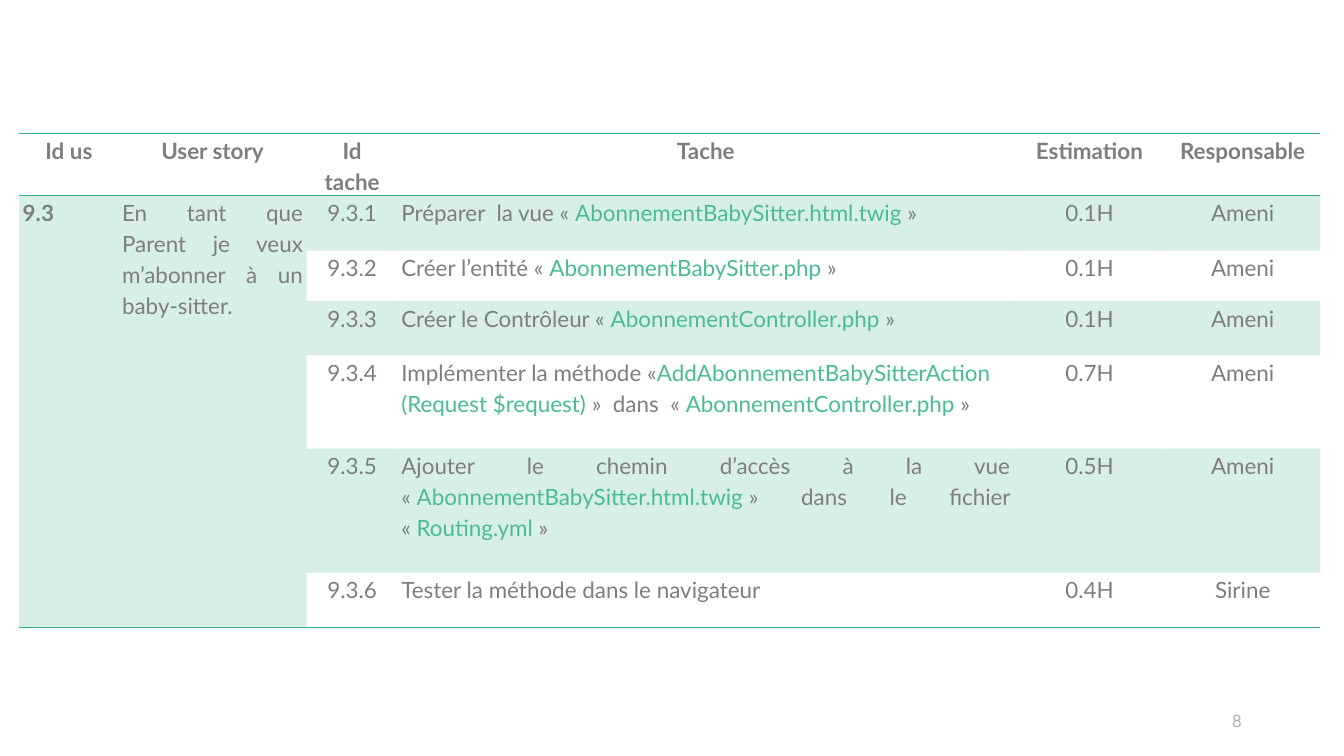
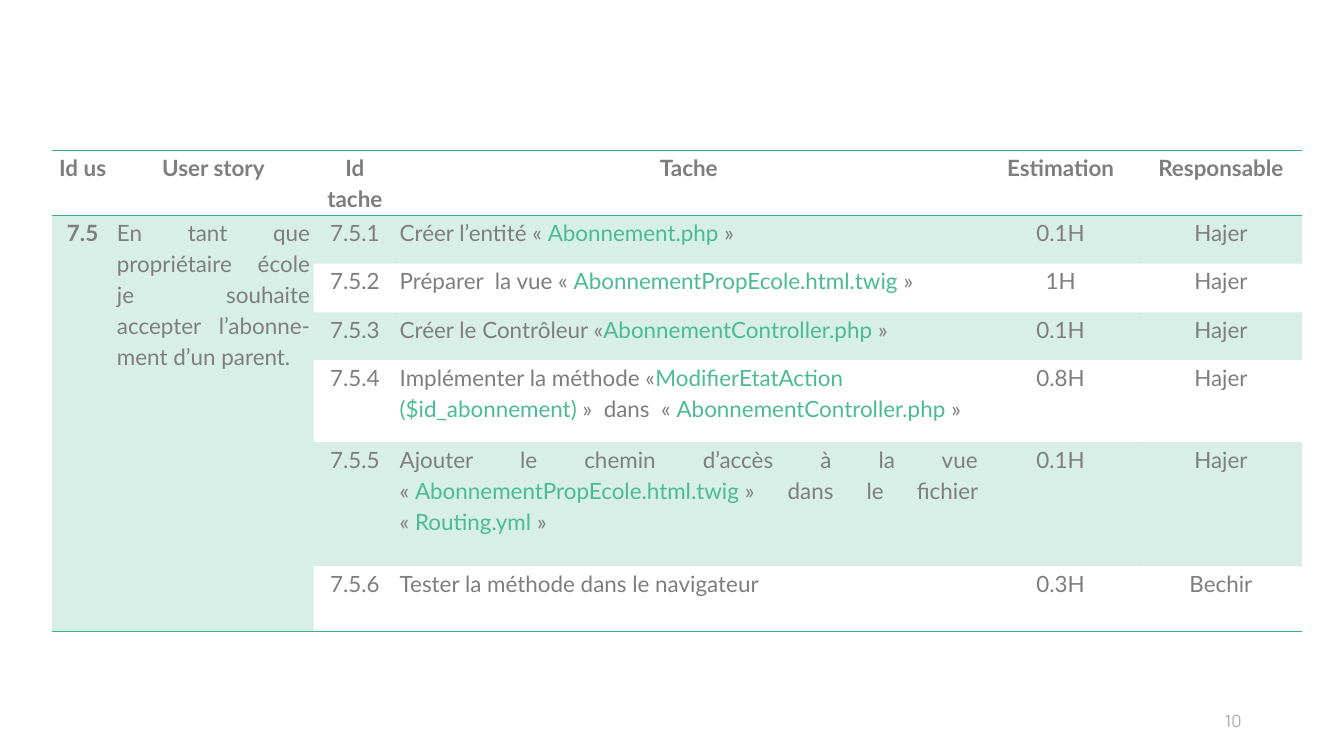
from lxml.etree import SubElement
from pptx import Presentation
from pptx.dml.color import RGBColor
from pptx.enum.text import MSO_ANCHOR, PP_ALIGN
from pptx.oxml.ns import qn
from pptx.util import Inches, Pt

GREEN, CODE, GREY, PALE = "38B28A", "4ABB94", "7E7E7E", "ABABAB"
LEFT, MID, RIGHT, FULL = PP_ALIGN.LEFT, PP_ALIGN.CENTER, PP_ALIGN.RIGHT, PP_ALIGN.JUSTIFY
BODY = {"name": "Lato", "size": Pt(32), "bold": False}
HEAD = {**BODY, "bold": True}
NOTE = {"name": "Manrope", "size": Pt(24), "bold": False}
PLAIN = "{2D5ABB26-0587-4C30-8999-92F81FD0307C}"
TITLES = ["Id us", "User story", "Id|tache", "Tache", "Estimation", "Responsable"]


def tint(code):
    """Turn a hex string into a colour."""
    return RGBColor.from_string(code)


def assign(thing, values):
    """Set each value of a dict on an object."""
    for name, value in values.items():
        setattr(thing, name, value)


def glue(text):
    """Bind French quote marks to the words inside them."""
    hard = chr(160)
    return text.replace("« ", "«" + hard).replace(" »", hard + "»")


class Deck:
    """Hold the style and the current slide; lengths are percent of the slide."""

    def __init__(self, wide, high):
        """Start an empty deck of the given size in inches."""
        self.show = Presentation()
        self.wide, self.high = Inches(wide), Inches(high)
        assign(self.show, {"slide_width": self.wide, "slide_height": self.high})

    def across(self, share):
        """Give a share of the slide width."""
        return round(self.wide * share / 100)

    def down(self, share):
        """Give a share of the slide height."""
        return round(self.high * share / 100)

    def page(self, number):
        """Add a slide with its number."""
        self.slide = self.show.slides.add_slide(self.show.slide_layouts[6])
        box = self.slide.shapes.add_textbox(
            self.across(70.63), self.down(92.67), self.across(22.51), self.down(5.33))
        frame = box.text_frame
        assign(frame, {"word_wrap": True, "vertical_anchor": MSO_ANCHOR.MIDDLE,
                       "margin_left": Inches(0.2), "margin_right": Inches(0.2),
                       "margin_top": Inches(0.1), "margin_bottom": Inches(0.1)})
        self.label(frame, str(number), RIGHT, NOTE, PALE, 1.0)

    def label(self, frame, text, align, style, shade=GREY, space=1.15):
        """Set text, with backticks round code and a bar at a line break."""
        para = frame.paragraphs[0]
        assign(para, {"alignment": align, "line_spacing": space})
        for order, part in enumerate(glue(text).split("`")):
            for line, piece in enumerate(part.split("|")):
                if line:
                    para.add_line_break()
                if piece:
                    run = para.add_run()
                    run.text = piece
                    assign(run.font, style)
                    run.font.color.rgb = tint(CODE if order % 2 else shade)

    def rule(self, cell, *sides):
        """Draw thin lines on the named sides of a cell."""
        props = cell._tc.get_or_add_tcPr()
        for place, side in enumerate(sides):
            line = SubElement(props, qn("a:ln" + side), w=str(Pt(1)))
            fill = SubElement(line, qn("a:solidFill"))
            SubElement(fill, qn("a:srgbClr"), val=GREEN)
            props.insert(place, line)

    def wash(self, cell):
        """Fill a cell with light green."""
        cell.fill.solid()
        cell.fill.fore_color.rgb = tint(GREEN)
        code = cell._tc.tcPr.find(".//" + qn("a:srgbClr"))
        SubElement(code, qn("a:alpha"), val="20000")

    def fill(self, cell, text, align, style):
        """Set the text of a cell with tight margins."""
        assign(cell, {"margin_left": Inches(0.07), "margin_right": Inches(0.07),
                      "margin_top": 0, "margin_bottom": 0})
        self.label(cell.text_frame, text, align, style)

    def grid(self, left, top, cols, rows):
        """Add a plain table with the given column and row shares."""
        shape = self.slide.shapes.add_table(
            len(rows), len(cols), self.across(left), self.down(top),
            self.across(sum(cols)), self.down(sum(rows)))
        table = shape.table
        assign(table, {"first_row": False, "horz_banding": False})
        table._tbl.tblPr.find(qn("a:tableStyleId")).text = PLAIN
        for col, share in zip(table.columns, cols):
            col.width = self.across(share)
        for row, share in zip(table.rows, rows):
            row.height = self.down(share)
        return table

    def backlog(self, left, top, cols, rows, key, story, tasks, side):
        """Add a story with its numbered tasks."""
        table = self.grid(left, top, cols, rows)
        last = len(tasks)
        for col, title in enumerate(TITLES):
            cell = table.cell(0, col)
            self.fill(cell, title, MID, HEAD)
            self.rule(cell, "T", "B")
        for row, (task, hours, owner) in enumerate(tasks, 1):
            flow = FULL if task.startswith("Ajouter") else LEFT
            texts = [(f"{key}.{row}", MID), (task, flow), (hours, MID), (owner, MID)]
            for col, (text, align) in enumerate(texts, 2):
                cell = table.cell(row, col)
                self.fill(cell, text, align, BODY)
                if row % 2:
                    self.wash(cell)
                if row == last:
                    self.rule(cell, "B")
        for col, (text, align, style) in enumerate([(key, side, HEAD), (story, FULL, BODY)]):
            cell, end = table.cell(1, col), table.cell(last, col)
            cell.merge(end)
            self.fill(cell, text, align, style)
            for part in (cell, end):
                self.wash(part)
                self.rule(part, "B")


def main():
    """Build both slides and save them."""
    deck = Deck(26.66, 15)
    deck.page(8)
    deck.backlog(
        1.43, 17.67,
        [7.39, 13.99, 6.79, 45.84, 11.25, 11.55],
        [8.2, 7.27, 6.67, 7.2, 12.33, 16.4, 7.2],
        "9.3", "En tant que Parent je veux m’abonner à un baby-sitter.",
        [("Préparer  la vue « `AbonnementBabySitter.html.twig` »", "0.1H", "Ameni"),
         ("Créer l’entité « `AbonnementBabySitter.php` »", "0.1H", "Ameni"),
         ("Créer le Contrôleur « `AbonnementController.php` »", "0.1H", "Ameni"),
         ("Implémenter la méthode «`AddAbonnementBabySitterAction (Request $request)` »"
          "  dans  « `AbonnementController.php` »", "0.7H", "Ameni"),
         ("Ajouter le chemin d’accès à la vue « `AbonnementBabySitter.html.twig` »"
          " dans le fichier « `Routing.yml` »", "0.5H", "Ameni"),
         ("Tester la méthode dans le navigateur", "0.4H", "Sirine")], LEFT)
    deck.page(10)
    deck.backlog(
        3.86, 19.87,
        [4.58, 14.89, 6.15, 43.55, 11.78, 12.08],
        [8.6, 6.4, 6.47, 6.27, 10.87, 16.4, 8.6],
        "7.5", "En tant que propriétaire école je souhaite accepter l’abonne- ment d’un parent.",
        [("Créer l’entité « `Abonnement.php` »", "0.1H", "Hajer"),
         ("Préparer  la vue « `AbonnementPropEcole.html.twig` »", "1H", "Hajer"),
         ("Créer le Contrôleur «`AbonnementController.php` »", "0.1H", "Hajer"),
         ("Implémenter la méthode «`ModifierEtatAction ($id_abonnement)` »"
          "  dans  « `AbonnementController.php` »", "0.8H", "Hajer"),
         ("Ajouter le chemin d’accès à la vue « `AbonnementPropEcole.html.twig` »"
          " dans le fichier « `Routing.yml` »", "0.1H", "Hajer"),
         ("Tester la méthode dans le navigateur", "0.3H", "Bechir")], MID)
    deck.show.save("out.pptx")


if __name__ == "__main__":
    main()
